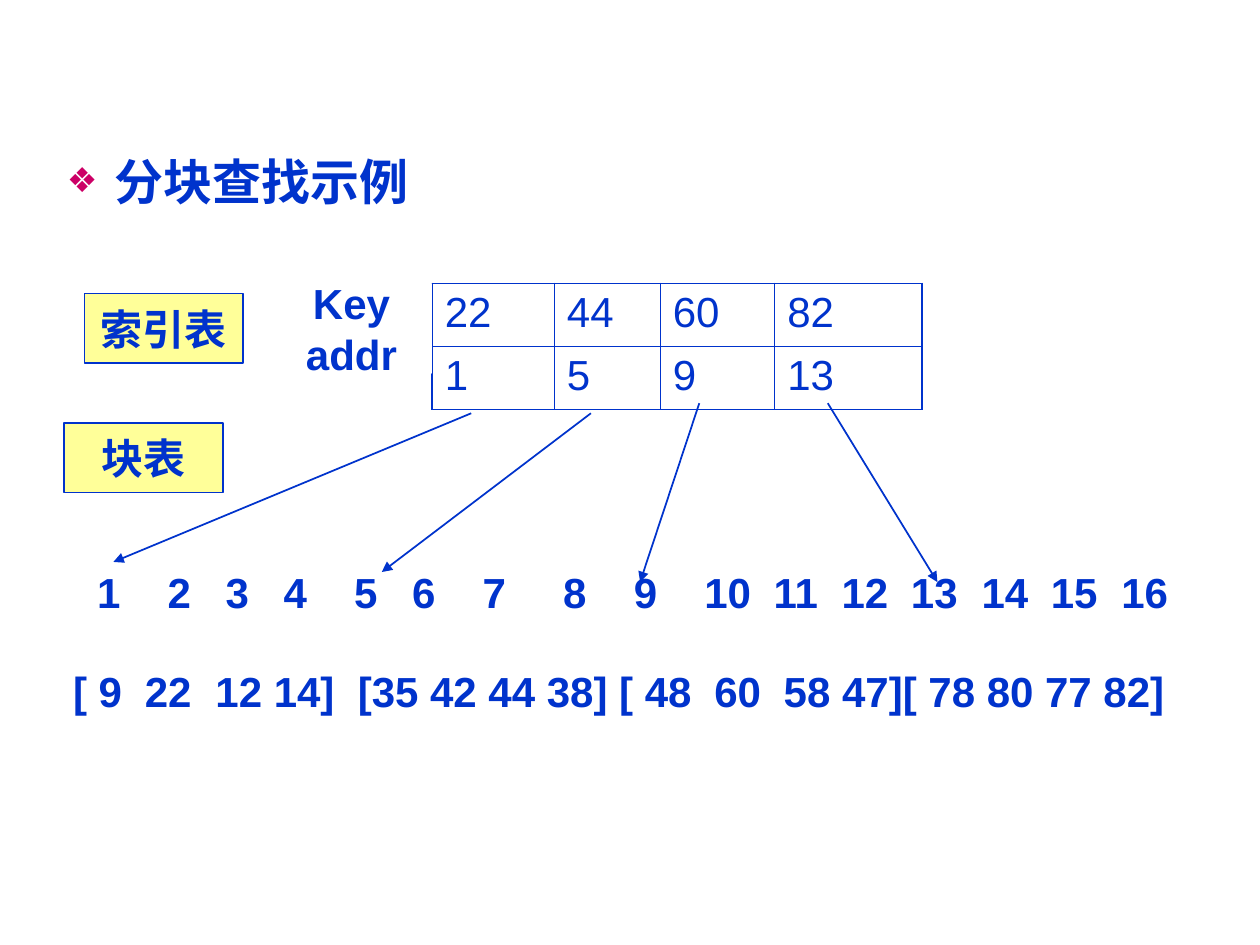
from lxml import etree
from pptx import Presentation
from pptx.dml.color import RGBColor
from pptx.enum.shapes import MSO_CONNECTOR, MSO_SHAPE
from pptx.enum.text import MSO_ANCHOR, MSO_AUTO_SIZE, PP_ALIGN
from pptx.oxml import parse_xml
from pptx.oxml.ns import nsdecls, qn
from pptx.util import Inches, Pt

RECT, STRAIGHT = MSO_SHAPE.RECTANGLE, MSO_CONNECTOR.STRAIGHT
TOP, MIDDLE = MSO_ANCHOR.TOP, MSO_ANCHOR.MIDDLE
LEFT, CENTER = PP_ALIGN.LEFT, PP_ALIGN.CENTER
BLUE, YELLOW, WHITE, PINK = "0033CC", "FFFF99", "FFFFFF", "CC0066"

prs = Presentation()
prs.slide_width, prs.slide_height = Inches(10), Inches(7.5)
COL, ROW = prs.slide_width / 100, prs.slide_height / 75
s = prs.slides.add_slide(prs.slide_layouts[5])


def color(value):
    return RGBColor.from_string(value)


def write(tf, lines, size=24, bold=True, align=CENTER):
    for i, line in enumerate(lines):
        p = tf.paragraphs[0] if i == 0 else tf.add_paragraph()
        p.alignment = align
        r = p.add_run()
        r.text = line
        fmt = {"name": "Arial", "size": Pt(size), "bold": bold}
        for key, value in fmt.items():
            setattr(r.font, key, value)
        r.font.color.rgb = color(BLUE)


title = s.shapes.title
place = {"left": 4.3 * COL, "top": 11.5 * ROW, "width": 34.9 * COL, "height": 7.1 * ROW}
for key, value in place.items():
    setattr(title, key, int(value))
tf = title.text_frame
tf.vertical_anchor, tf.auto_size, tf.word_wrap = TOP, MSO_AUTO_SIZE.NONE, True
pPr = tf.paragraphs[0]._p.get_or_add_pPr()
pPr.set("marL", str(Inches(0.38)))
pPr.set("indent", str(-Inches(0.38)))
for xml in (
    f'<a:buClr {nsdecls("a")}><a:srgbClr val="{PINK}"/></a:buClr>',
    f'<a:buSzPct {nsdecls("a")} val="70000"/>',
    f'<a:buFont {nsdecls("a")} typeface="Arial"/>',
    f'<a:buChar {nsdecls("a")} char="❖"/>',
):
    pPr.append(parse_xml(xml))
write(tf, ["分块查找示例"], size=28, align=LEFT)

index = [["22", "44", "60", "82"], ["1", "5", "9", "13"]]
widths = [9.7, 8.4, 9.1, 11.7]
frame = s.shapes.add_table(2, 4, int(34.3 * COL), int(22.5 * ROW),
                           int(sum(widths) * COL), int(10 * ROW))
table = frame.table
table.first_row = table.horz_banding = False
for column, width in zip(table.columns, widths):
    column.width = int(width * COL)
for i, values in enumerate(index):
    table.rows[i].height = int(5 * ROW)
    for j, value in enumerate(values):
        cell = table.cell(i, j)
        write(cell.text_frame, [value], bold=False, align=LEFT)
        tcPr = cell._tc.get_or_add_tcPr()
        outer = {"lnL": j == 0, "lnR": j == 3, "lnT": i == 0, "lnB": i == 1}
        for tag, edge in outer.items():
            ln = etree.SubElement(tcPr, qn(f"a:{tag}"), w=str(Pt(1.08 if edge else 0.45)))
            fill = etree.SubElement(ln, qn("a:solidFill"))
            etree.SubElement(fill, qn("a:srgbClr"), val=BLUE)
        cell.fill.background()

for x, y, w, h, fill, line, lines in (
    (6.7, 23.3, 12.6, 5.5, YELLOW, BLUE, ["索引表"]),
    (5.1, 33.6, 12.6, 5.5, YELLOW, BLUE, ["块表"]),
    (21.6, 22.5, 12.6, 7.1, WHITE, WHITE, ["Key", "addr"]),
):
    sp = s.shapes.add_shape(RECT, int(x * COL), int(y * ROW), int(w * COL), int(h * ROW))
    sp.shadow.inherit = False
    sp.fill.solid()
    sp.fill.fore_color.rgb = color(fill)
    sp.line.color.rgb = color(line)
    sp.line.width = Pt(1)
    sp.text_frame.word_wrap = False
    sp.text_frame.vertical_anchor = MIDDLE
    write(sp.text_frame, lines)

numbers = [str(n) for n in range(1, 17)]
number_stops = [0.56, 1.02, 1.48, 2.04, 2.5, 3.06, 3.7, 4.26,
                4.82, 5.37, 5.91, 6.46, 7.02, 7.57, 8.13]
blocks = ["[ 9", "22", "12 14]", "[35 42 44 38] [ 48", "60", "58 47][ 78 80 77 82]"]
block_stops = [0.57, 1.13, 2.26, 5.09, 5.64]
for x, y, w, h, inset, items, stops in (
    (7.5, 44.6, 85.8, 4.7, 0.02, numbers, number_stops),
    (4.3, 51.7, 89.8, 6.3, 0.15, blocks, block_stops),
):
    sp = s.shapes.add_textbox(int(x * COL), int(y * ROW), int(w * COL), int(h * ROW))
    tf = sp.text_frame
    layout = {"word_wrap": True, "vertical_anchor": MIDDLE,
              "margin_left": Inches(inset), "margin_right": 0}
    for key, value in layout.items():
        setattr(tf, key, value)
    tabs = etree.SubElement(tf.paragraphs[0]._p.get_or_add_pPr(), qn("a:tabLst"))
    for stop in stops:
        etree.SubElement(tabs, qn("a:tab"), pos=str(Inches(stop)), algn="l")
    write(tf, ["\t".join(items)], align=LEFT)

for x1, y1, x2, y2 in (
    (37.4, 32.8, 9, 44.6),
    (46.9, 32.8, 30.3, 45.4),
    (55.5, 32, 50.8, 46.2),
    (65.7, 32, 74.4, 46.2),
):
    arrow = s.shapes.add_connector(STRAIGHT, int(x1 * COL), int(y1 * ROW),
                                   int(x2 * COL), int(y2 * ROW))
    arrow.line.color.rgb = color(BLUE)
    arrow.line.width = Pt(1)
    etree.SubElement(arrow.line._get_or_add_ln(), qn("a:tailEnd"), type="triangle")
    etree.SubElement(arrow._element.spPr, qn("a:effectLst"))

prs.save("out.pptx")
